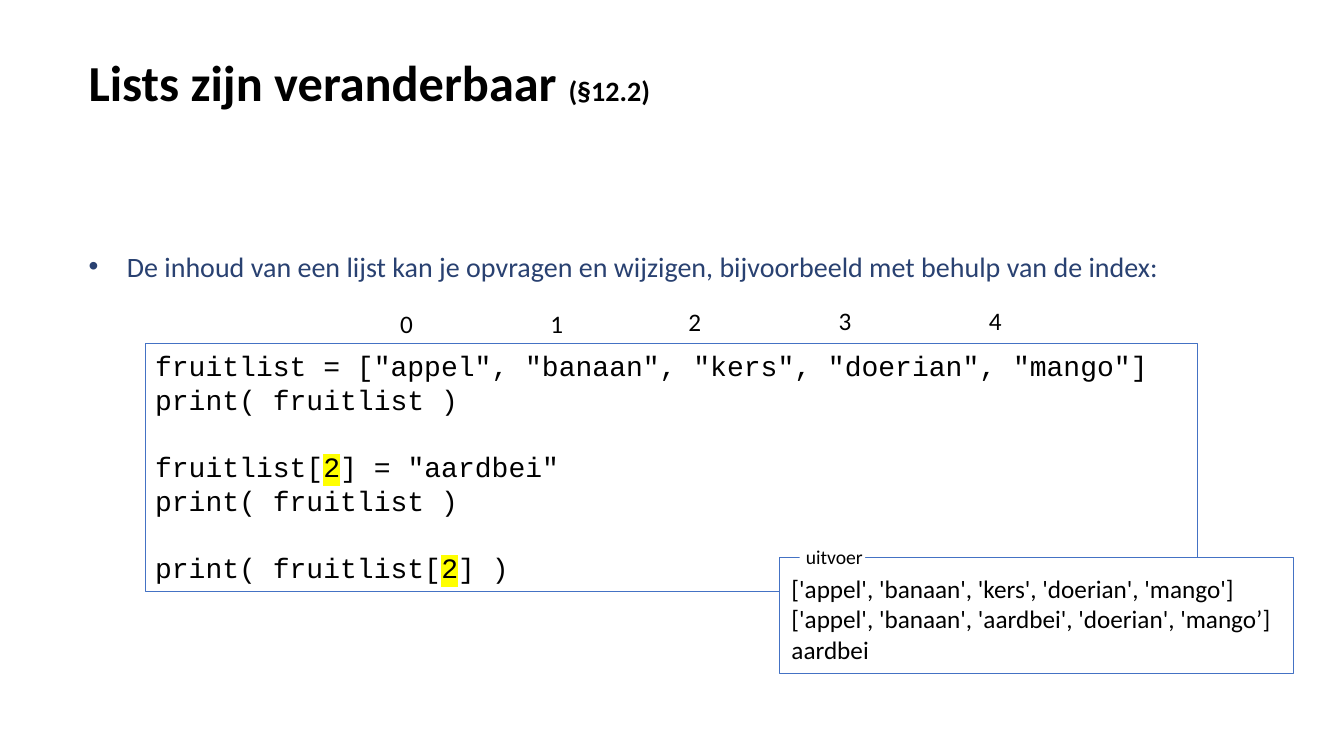
from dataclasses import dataclass

from lxml import etree
from pptx import Presentation
from pptx import util as u
from pptx.dml.color import RGBColor
from pptx.enum import shapes, text
from pptx.oxml import ns


@dataclass(frozen=True)
class Theme:
    body_font: str = "Calibri"
    code_font: str = "Courier New"
    ink: str = "000000"
    bullet: str = "294171"
    line: str = "4472C4"
    paper: str = "FFFFFF"
    mark: str = "FFFF00"
    title_size: int = 36
    text_size: int = 20
    output_size: int = 18
    caption_size: int = 14
    code_line: float = 24.05


THEME = Theme()
CODE = [
    [["fruitlist = [\"appel\", \"banaan\", \"kers\", \"doerian\", \"mango\"]"],
     ["print( fruitlist )"]],
    [["fruitlist[", "2", "] = \"aardbei\""],
     ["print( fruitlist )"]],
    [["print( fruitlist[", "2", "] )"]],
]
OUTPUT = [
    "['appel', 'banaan', 'kers', 'doerian', 'mango']",
    "['appel', 'banaan', 'aardbei', 'doerian', 'mango’]",
    "aardbei",
]
INDEX_PLACES = [(3.87, 3.01), (5.36, 3.01), (6.73, 2.99), (8.22, 2.98), (9.71, 2.98)]


def add_run(p, words, size, color=THEME.ink, font=THEME.body_font, bold=False):
    r = p.add_run()
    r.text = words
    r.font.size = u.Pt(size)
    r.font.name = font
    r.font.bold = bold
    r.font.color.rgb = RGBColor.from_string(color)
    return r


def highlight(r):
    mark = etree.Element(ns.qn("a:highlight"))
    etree.SubElement(mark, ns.qn("a:srgbClr"), val=THEME.mark)
    r.font.fill._xPr.find(ns.qn("a:solidFill")).addnext(mark)


def set_frame(tf, insets, anchor):
    tf.word_wrap = True
    tf.vertical_anchor = anchor
    tf.margin_left, tf.margin_top, tf.margin_right, tf.margin_bottom = map(u.Inches, insets)
    return tf


def add_text(s, box, insets=(0.1, 0.05, 0.1, 0.05), anchor=text.MSO_ANCHOR.TOP):
    sp = s.shapes.add_textbox(*map(u.Inches, box))
    return set_frame(sp.text_frame, insets, anchor)


def add_panel(s, box, insets=(0.1, 0.05, 0.1, 0.05), filled=True, outlined=True):
    sp = s.shapes.add_shape(shapes.MSO_SHAPE.RECTANGLE, *map(u.Inches, box))
    sp.shadow.inherit = False
    if filled:
        sp.fill.solid()
        sp.fill.fore_color.rgb = RGBColor.from_string(THEME.paper)
    else:
        sp.fill.background()
    if outlined:
        sp.line.color.rgb = RGBColor.from_string(THEME.line)
        sp.line.width = u.Pt(0.75)
    else:
        sp.line.fill.background()
    return set_frame(sp.text_frame, insets, text.MSO_ANCHOR.TOP)


def next_paragraph(tf, first, align=text.PP_ALIGN.LEFT):
    p = tf.paragraphs[0] if first else tf.add_paragraph()
    p.alignment = align
    return p


def add_title(s, box):
    p = add_text(s, box, anchor=text.MSO_ANCHOR.MIDDLE).paragraphs[0]
    add_run(p, "Lists zijn veranderbaar ", THEME.title_size, bold=True)
    add_run(p, "(§12.2)", THEME.text_size, bold=True)


def add_bullet(s, box):
    p = add_text(s, box, anchor=text.MSO_ANCHOR.MIDDLE).paragraphs[0]
    props = p._p.get_or_add_pPr()
    props.set("marL", str(u.Inches(0.38)))
    props.set("indent", str(-u.Inches(0.38)))
    etree.SubElement(props, ns.qn("a:buFont"), typeface="Arial")
    etree.SubElement(props, ns.qn("a:buChar"), char="•")
    add_run(p, "De inhoud van een lijst kan je opvragen en wijzigen, "
               "bijvoorbeeld met behulp van de index:", THEME.text_size, THEME.bullet)


def add_code(s, box):
    """Draws the code groups one line apart, with the second run of a line marked."""
    tf = add_panel(s, box, filled=False)
    for g, group in enumerate(CODE):
        for n, parts in enumerate(group):
            p = next_paragraph(tf, first=g == n == 0)
            p.line_spacing = u.Pt(THEME.code_line)
            if g and n == 0:
                p.space_before = u.Pt(THEME.code_line)
            for i, part in enumerate(parts):
                r = add_run(p, part, THEME.text_size, font=THEME.code_font)
                if i == 1:
                    highlight(r)


def add_output(s, box):
    """Draws the output panel with its caption set across the top edge."""
    left, top, _, _ = box
    tf = add_panel(s, box, insets=(0.12, 0.16, 0.12, 0.08))
    for n, line in enumerate(OUTPUT):
        add_run(next_paragraph(tf, first=n == 0), line, THEME.output_size)
    caption = add_panel(s, (left + 0.2, top - 0.12, 0.65, 0.24),
                        insets=(0.04, 0, 0, 0), outlined=False)
    p = next_paragraph(caption, first=True, align=text.PP_ALIGN.CENTER)
    add_run(p, "uitvoer", THEME.caption_size)


def add_indexes(s, places):
    for index, (left, top) in enumerate(places):
        tf = add_text(s, (left, top, 0.23, 0.4), insets=(0.1, 0.05, 0, 0.05))
        add_run(tf.paragraphs[0], str(index), THEME.output_size)


def main():
    prs = Presentation()
    prs.slide_width, prs.slide_height = u.Inches(13.33), u.Inches(7.5)
    s = prs.slides.add_slide(prs.slide_layouts[6])
    add_title(s, (0.78, 0, 10.07, 1.61))
    add_bullet(s, (0.78, 2.42, 12.06, 0.44))
    add_code(s, (1.44, 3.41, 10.44, 2.46))
    add_output(s, (7.73, 5.53, 5.1, 1.15))
    add_indexes(s, INDEX_PLACES)
    prs.save("out.pptx")


if __name__ == "__main__":
    main()
